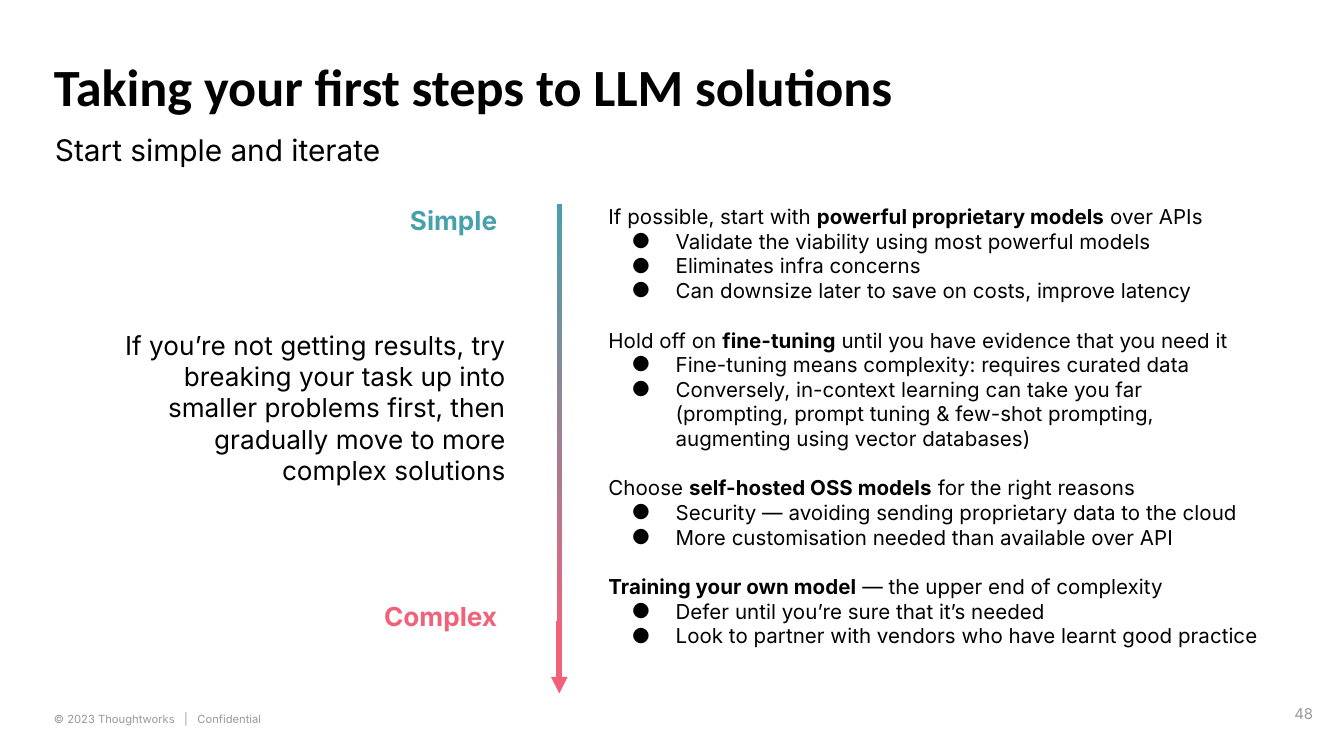
from copy import deepcopy
from lxml.etree import SubElement
from pptx import Presentation
from pptx.dml.color import RGBColor as RGB
from pptx.enum.shapes import MSO_CONNECTOR as LINE, MSO_SHAPE as SHAPE
from pptx.enum.text import MSO_ANCHOR as ANCHOR, MSO_AUTO_SIZE as AUTO, PP_ALIGN as ALIGN
from pptx.oxml.ns import qn
from pptx.util import Cm, Pt

BLACK = RGB(0x00, 0x00, 0x00)
GREY = RGB(0x99, 0x99, 0x99)
TEAL = RGB(0x47, 0xA1, 0xAD)
PINK = RGB(0xF2, 0x61, 0x7A)

STEPS = [
    ("If possible, start with *powerful proprietary models* over APIs",
     ["Validate the viability using most powerful models",
      "Eliminates infra concerns",
      "Can downsize later to save on costs, improve latency"]),
    ("Hold off on *fine-tuning* until you have evidence that you need it",
     ["Fine-tuning means complexity: requires curated data",
      "Conversely, in-context learning can take you far\n"
      "(prompting, prompt tuning & few-shot prompting, augmenting using vector databases)"]),
    ("Choose *self-hosted OSS models* for the right reasons",
     ["Security — avoiding sending proprietary data to the cloud",
      "More customisation needed than available over API"]),
    ("*Training your own model* — the upper end of complexity",
     ["Defer until you’re sure that it’s needed",
      "Look to partner with vendors who have learnt good practice"]),
]


def frame(shape, pad=0.25, anchor=ANCHOR.TOP):
    """Prepare a shape's text frame and return it."""
    text = shape.text_frame
    text.word_wrap = True
    text.auto_size = AUTO.NONE
    text.vertical_anchor = anchor
    text.margin_left = text.margin_right = Cm(pad)
    text.margin_top = text.margin_bottom = Cm(pad)
    return text


def area(slide, x, y, w, h, **style):
    """Add a text box and return its frame."""
    return frame(slide.shapes.add_textbox(Cm(x), Cm(y), Cm(w), Cm(h)), **style)


def bullet(para):
    """Give a paragraph a hanging round bullet."""
    props = para._p.get_or_add_pPr()
    props.set("marL", str(Cm(1.27)))
    props.set("indent", str(-Cm(0.83)))
    tint = SubElement(SubElement(props, qn("a:buClr")), qn("a:srgbClr"))
    tint.set("val", str(BLACK))
    SubElement(props, qn("a:buFont")).set("typeface", "Inter")
    SubElement(props, qn("a:buChar")).set("char", "●")


def write(text, words, size=14, color=BLACK, font="Inter", bold=False,
          align=ALIGN.LEFT, before=0, dot=False, lead=None):
    """Add a paragraph in which asterisks mark bold words."""
    para = text.paragraphs[0]
    if para.runs:
        para = text.add_paragraph()
    para.alignment = align
    para.space_before = Pt(before)
    if lead:
        para.line_spacing = lead
    if dot:
        bullet(para)
    for part, piece in enumerate(words.split("*")):
        for row, line in enumerate(piece.split("\n")):
            if row:
                para.add_line_break()
                para._p[-1].append(deepcopy(run._r.rPr))
            if not line:
                continue
            run = para.add_run()
            run.text = line
            run.font.name = font
            run.font.size = Pt(size)
            run.font.bold = bold or part % 2 == 1
            run.font.color.rgb = color


def head(slide, x, y, w):
    """Place the title and the subtitle."""
    title = slide.shapes.title
    title.left, title.top, title.width, title.height = Cm(x), Cm(y), Cm(w), Cm(1.6)
    write(frame(title, pad=0), "Taking your first steps to LLM solutions",
          size=28, font="Calibri", bold=True)
    write(area(slide, x + 0.02, y + 1.37, w, 1.2, pad=0),
          "Start simple and iterate", size=16, lead=1.15)


def scale(slide, x, y, w, h):
    """Place the advice between the two ends of the scale."""
    tall, wide = 1.12, 4.19
    left = x + w - wide - 0.16
    for words, color, top in [("Simple", TEAL, y), ("Complex", PINK, y + h - tall)]:
        write(area(slide, left, top, wide, tall), words,
              color=color, bold=True, align=ALIGN.RIGHT)
    write(area(slide, x, y + 2.36, w, 3.5),
          "If you’re not getting results, try breaking your task up into smaller "
          "problems first, then gradually move to more complex solutions",
          align=ALIGN.RIGHT)


def arrow(slide, x, y, w, h):
    """Draw a shaded bar that ends in an arrow."""
    bar = slide.shapes.add_shape(SHAPE.RECTANGLE, Cm(x), Cm(y), Cm(w), Cm(h - 0.79))
    bar.shadow.inherit = False
    bar.line.fill.background()
    bar.fill.gradient()
    bar.fill.gradient_angle = 270
    for stop, color in zip(bar.fill.gradient_stops, (TEAL, PINK)):
        stop.color.rgb = color
    mid = Cm(x + w / 2)
    tip = slide.shapes.add_connector(LINE.STRAIGHT, mid, Cm(y + h - 1.37), mid, Cm(y + h))
    tip.line.color.rgb = PINK
    tip.line.width = Pt(3)
    SubElement(tip.line._get_or_add_ln(), qn("a:tailEnd")).set("type", "triangle")
    SubElement(tip._element.spPr, qn("a:effectLst"))


def steps(slide, x, y, w, h):
    """List the steps with their points."""
    text = area(slide, x, y, w, h)
    for order, (lead, points) in enumerate(STEPS):
        write(text, lead, size=11, before=13.25 if order else 0)
        for point in points:
            write(text, point, size=11, dot=True)


def foot(slide, x, y, w, h):
    """Place the copyright line and the page number."""
    write(area(slide, x, y + 0.28, 10.95, 0.48, pad=0, anchor=ANCHOR.BOTTOM),
          "© 2023 Thoughtworks   |   Confidential", size=6, color=GREY)
    write(area(slide, x + w - 1.52, y, 1.52, h, anchor=ANCHOR.MIDDLE),
          "48", size=8, color=GREY, align=ALIGN.RIGHT)


def main():
    """Build the slide and save it."""
    deck = Presentation()
    deck.slide_width, deck.slide_height = Cm(25.4), Cm(14.29)
    slide = deck.slides.add_slide(deck.slide_layouts[5])
    head(slide, 1.02, 1.02, 23.34)
    scale(slide, 2.01, 3.61, 7.8, 8.61)
    arrow(slide, 10.52, 3.86, 0.1, 9.25)
    steps(slide, 11.25, 3.61, 12.85, 8.99)
    foot(slide, 1.02, 12.95, 24.05, 1.09)
    deck.save("out.pptx")


if __name__ == "__main__":
    main()
